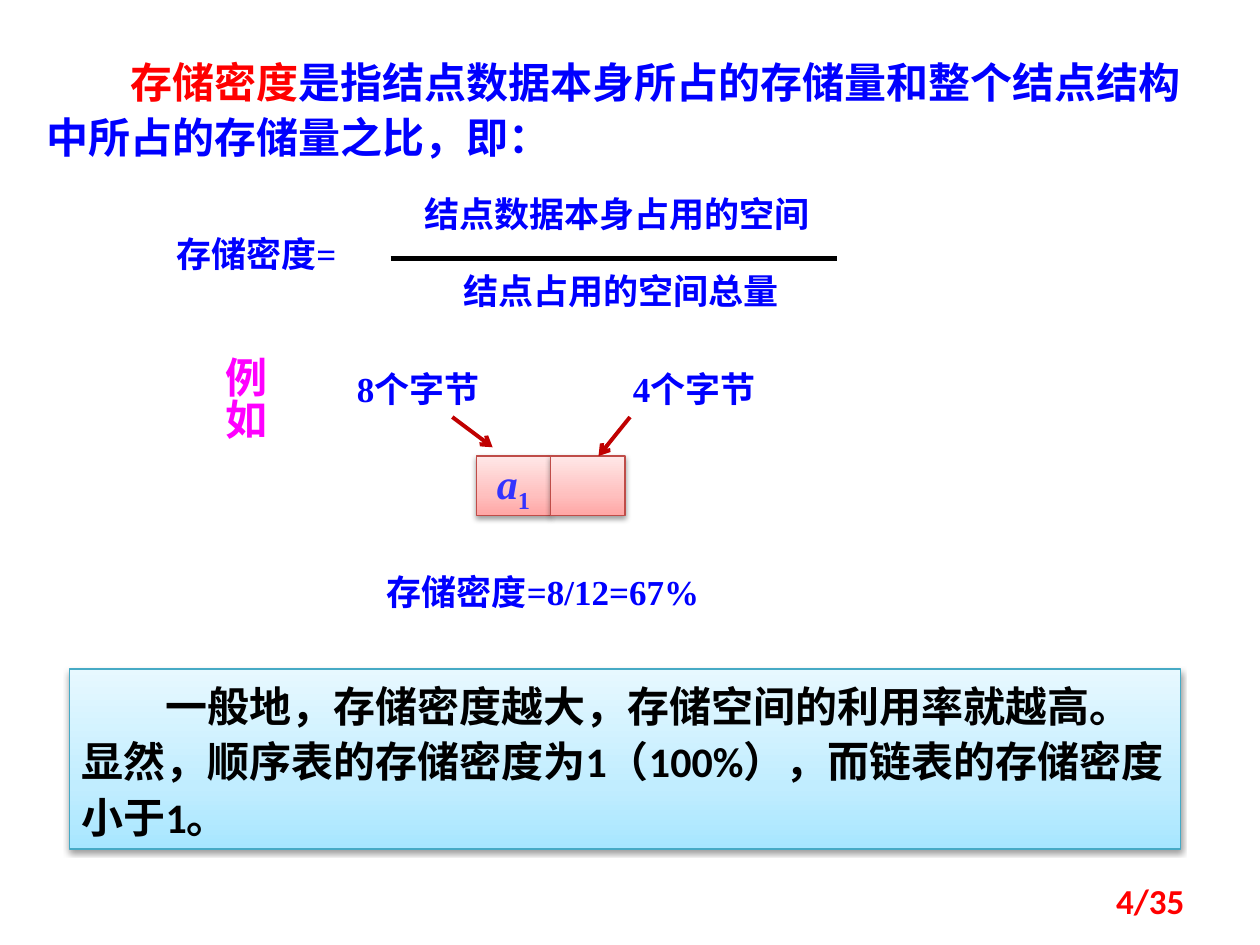
import copy
import pptx
import pptx.dml.color
import pptx.enum.shapes
import pptx.enum.text
import pptx.oxml
import pptx.oxml.ns
import pptx.oxml.xmlchemy
import pptx.util

RGBColor = pptx.dml.color.RGBColor
ALIGN = pptx.enum.text.PP_ALIGN
ANCHOR = pptx.enum.text.MSO_ANCHOR
qn = pptx.oxml.ns.qn

BLUE = RGBColor(0x00, 0x00, 0xFF)
RED = RGBColor(0xFF, 0x00, 0x00)
MAGENTA = RGBColor(0xFF, 0x00, 0xFF)
BLACK = RGBColor(0x00, 0x00, 0x00)
INDIGO = RGBColor(0x33, 0x33, 0xFF)
DARK_RED = RGBColor(0xC0, 0x00, 0x00)
CELL_LINE = RGBColor(0xBF, 0x4C, 0x48)
CELL_STOPS = [RGBColor(0xFF, 0xA6, 0xA5), RGBColor(0xFF, 0xC0, 0xBF), RGBColor(0xFF, 0xE7, 0xE7)]
NOTE_LINE = RGBColor(0x46, 0xAA, 0xC5)
NOTE_STOPS = [RGBColor(0xA7, 0xE6, 0xFF), RGBColor(0xC1, 0xED, 0xFF), RGBColor(0xE7, 0xF8, 0xFF)]
SERIF, SANS, CJK = "Times New Roman", "Calibri", "Noto Sans CJK SC"
SHADOW = (
    '<a:effectLst xmlns:a="http://schemas.openxmlformats.org/drawingml/2006/main">'
    '<a:outerShdw blurRad="40000" dist="20000" dir="5400000" rotWithShape="0">'
    '<a:srgbClr val="000000"><a:alpha val="38000"/></a:srgbClr>'
    "</a:outerShdw></a:effectLst>"
)

deck = pptx.Presentation()
deck.slide_width = pptx.util.Inches(10)
deck.slide_height = pptx.util.Inches(7.5)
page = deck.slides.add_slide(deck.slide_layouts[6])
COL = deck.slide_width / 100   # 100 columns by 75 rows of square units
ROW = deck.slide_height / 75


def write(box, *texts, size=20, font=SERIF, color=BLUE, align=ALIGN.LEFT,
          anchor=ANCHOR.TOP, spacing=None, indent=0, wrap=True):
    """Fill a box with one paragraph; a text is a string or (string, changes)."""
    frame = box.text_frame
    frame.word_wrap = wrap
    frame.vertical_anchor = anchor
    para = frame.paragraphs[0]
    para.alignment = align
    para.line_spacing = spacing
    if indent:
        para._p.get_or_add_pPr().set("indent", str(pptx.util.Pt(indent)))
    for text in texts:
        words, changes = (text, {}) if isinstance(text, str) else text
        span = para.add_run()
        span.text = words
        span.font.size = pptx.util.Pt(size)
        span.font.bold = True
        span.font.italic = changes.get("italic")
        span.font.name = changes.get("font", font)
        span.font.color.rgb = changes.get("color", color)
        latin = span._r.rPr.find(qn("a:latin"))
        east_asian = pptx.oxml.xmlchemy.OxmlElement("a:ea")
        east_asian.set("typeface", CJK)
        latin.addnext(east_asian)
        if "baseline" in changes:
            span._r.rPr.set("baseline", str(changes["baseline"]))


def add_card(left, top, width, height, stops, edge):
    """Add a rectangle with a three-stop gradient and a soft shadow."""
    card = page.shapes.add_shape(
        pptx.enum.shapes.MSO_SHAPE.RECTANGLE,
        int(left * COL), int(top * ROW), int(width * COL), int(height * ROW))
    card.fill.gradient()
    card.fill.gradient_angle = 90
    properties = card._element.spPr
    stop_list = properties.find(qn("a:gradFill")).find(qn("a:gsLst"))
    stop_list.insert(1, copy.deepcopy(stop_list[0]))
    for stop, position, color in zip(card.fill.gradient_stops, (0, 0.35, 1), stops):
        stop.position = position
        stop.color.rgb = color
    card.line.color.rgb = edge
    card.line.width = pptx.util.Pt(0.75)
    properties.append(pptx.oxml.parse_xml(SHADOW))
    return card


# Text boxes: place on the grid, texts, format
texts = [
    # Definition
    ((2.7, 3.6, 92.9, 9.9),
     [("存储密度", {"font": CJK, "color": RED}),
      "是指结点数据本身所占的存储量和整个结点结构中所占的存储量之比，即："],
     {"size": 24, "spacing": 1.1, "indent": 48}),
    # Formula
    ((13, 18, 21.3, 4.4), ["存储密度="], {}),
    ((32.7, 14.8, 41.7, 4.4), ["结点数据本身占用的空间"], {}),
    ((35.8, 20.9, 35.4, 4.4), ["结点占用的空间总量"], {}),
    # Example
    ((25.8, 28.7, 14.8, 4.4), ["8个字节"], {"align": ALIGN.CENTER}),
    ((47.7, 28.7, 14.8, 4.4), ["4个字节"], {"align": ALIGN.CENTER}),
    ((29.7, 44.8, 30.5, 4.4), ["存储密度=8/12=67%"], {}),
    # Page number
    ((71.7, 69.5, 23.3, 4), ["4/35"],
     {"font": SANS, "color": RED, "align": ALIGN.RIGHT, "anchor": ANCHOR.MIDDLE}),
]
for (left, top, width, height), words, style in texts:
    box = page.shapes.add_textbox(
        int(left * COL), int(top * ROW), int(width * COL), int(height * ROW))
    write(box, *words, **style)

# Vertical example label
label = page.shapes.add_textbox(
    int(15.8 * COL), int(27.3 * ROW), int(6.1 * COL), int(10.2 * ROW))
write(label, "例如", size=24, font=CJK, color=MAGENTA, align=ALIGN.CENTER)
label.text_frame._txBody.bodyPr.set("vert", "eaVert")

# Node with a data cell and a pointer cell
CELL = 5.9
data_cell, pointer_cell = [
    add_card(37.8 + i * CELL, 36.2, CELL, 4.7, CELL_STOPS, CELL_LINE) for i in range(2)]
write(data_cell, ("a", {"italic": True}), ("1", {"baseline": -25000}), size=24,
      color=INDIGO, align=ALIGN.CENTER, anchor=ANCHOR.MIDDLE, wrap=False)

# Conclusion
note = add_card(5.5, 53.1, 88.2, 14.3, NOTE_STOPS, NOTE_LINE)
write(note, "一般地，存储密度越大，存储空间的利用率就越高。显然，顺序表的存储密度为1（100%），而链表的存储密度小于1。",
      size=24, font=SANS, color=BLACK, spacing=1.1, indent=48)

# Fraction bar and the two arrows to the cells
lines = [
    (31, 20.5, 66.4, 20.5, BLACK, 3, False),
    (35.9, 33.1, 39.1, 35.5, DARK_RED, 2.25, True),
    (50, 33.1, 47.5, 36.2, DARK_RED, 2.25, True),
]
for x1, y1, x2, y2, color, weight, arrow in lines:
    line = page.shapes.add_connector(
        pptx.enum.shapes.MSO_CONNECTOR.STRAIGHT,
        int(x1 * COL), int(y1 * ROW), int(x2 * COL), int(y2 * ROW))
    line.line.color.rgb = color
    line.line.width = pptx.util.Pt(weight)
    properties = line._element.spPr
    if arrow:
        head = pptx.oxml.xmlchemy.OxmlElement("a:tailEnd")
        head.set("type", "arrow")
        properties.find(qn("a:ln")).append(head)
    properties.append(pptx.oxml.xmlchemy.OxmlElement("a:effectLst"))

deck.save("out.pptx")
